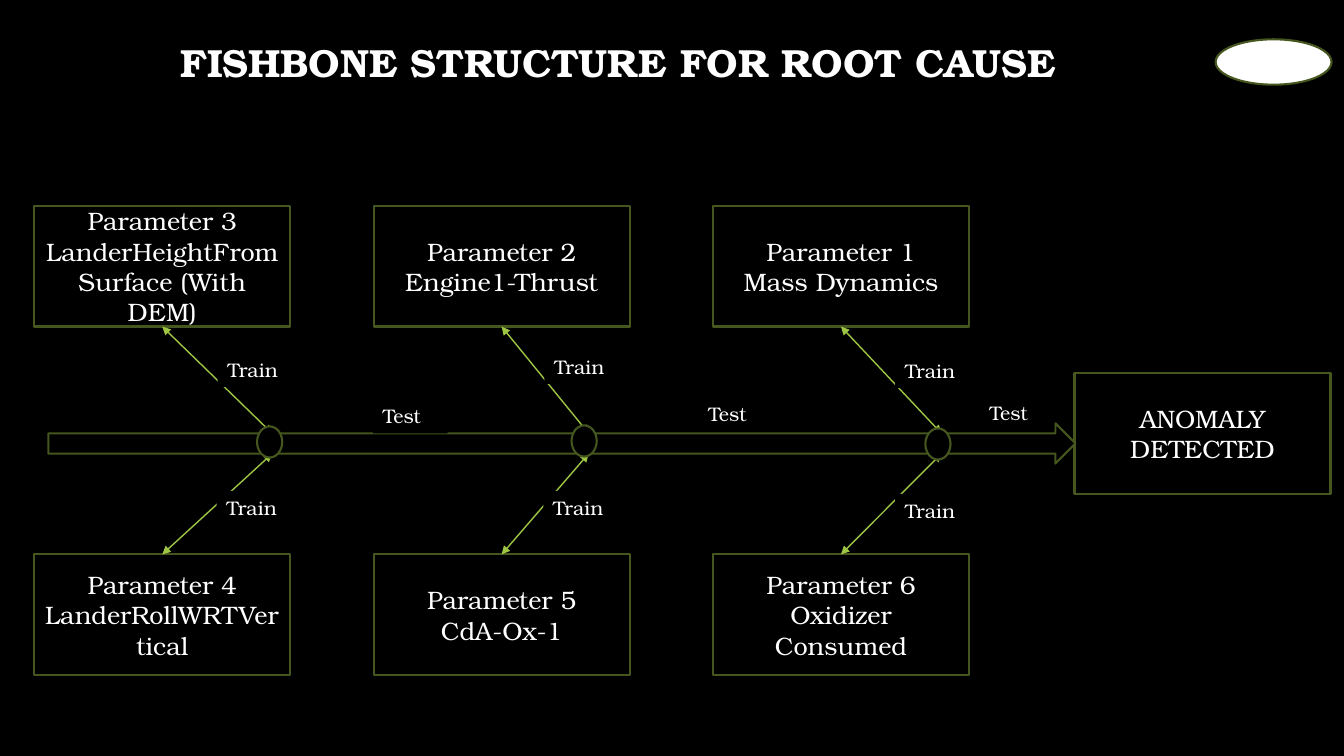
from lxml.etree import SubElement
from pptx import Presentation
from pptx.dml.color import RGBColor
from pptx.enum.shapes import MSO_CONNECTOR, MSO_SHAPE as SHAPE
from pptx.enum.text import MSO_ANCHOR as ANCHOR, MSO_AUTO_SIZE as FIT, PP_ALIGN as ALIGN
from pptx.oxml.ns import qn
from pptx.util import Inches, Pt

COLORS = {"black": "000000", "white": "FFFFFF", "outline": "45561E", "bone": "9EC544"}
FONT = "TeX Gyre Bonum"
COLUMNS, ROWS = 40, 22.5
BOX_W, BOX_H = 7.62, 3.6
LABEL_W, LABEL_H = 2.22, 1.02
JOINT_W, JOINT_H = 0.75, 0.93
FIRST_BOX, BOX_PITCH = 1.02, 10.1
UPPER_TOP, LOWER_TOP = 6.12, 16.5
UPPER_END, LOWER_END = 12.9, 13.5
TOP, BOTTOM = 0, 2  # connection sites of a rectangle

# One entry per joint of the spine, from left to right
BONES = [
    {"upper": ["Parameter 3", "LanderHeightFromSurface (With DEM)"],
     "lower": ["Parameter 4", "LanderRollWRTVertical"],
     "end": 8.1, "joint": (7.65, 12.69),
     "train": [(6.48, 10.5), (6.45, 14.61)], "test": (11.1, 11.88)},
    {"upper": ["Parameter 2", "Engine1-Thrust"],
     "lower": ["Parameter 5", "CdA-Ox-1"],
     "end": 17.52, "joint": (17.01, 12.66),
     "train": [(16.2, 10.41), (16.17, 14.61)], "test": (20.79, 11.82)},
    {"upper": ["Parameter 1", "Mass Dynamics"],
     "lower": ["Parameter 6", "Oxidizer Consumed"],
     "end": 28.02, "joint": (27.54, 12.75),
     "train": [(26.64, 10.53), (26.64, 14.7)], "test": (29.16, 11.79)},
]


def color(name):
    return RGBColor.from_string(COLORS[name])


class Fishbone:
    """Draws on one slide; lengths are columns and rows of its grid."""

    def __init__(self, deck):
        self.cell_w = deck.slide_width / COLUMNS
        self.cell_h = deck.slide_height / ROWS
        self.slide = deck.slides.add_slide(deck.slide_layouts[5])
        self.slide.background.fill.solid()
        self.slide.background.fill.fore_color.rgb = color("black")

    def place(self, *lengths):
        """Turn alternating columns and rows into slide units."""
        return [round(length * (self.cell_h if i % 2 else self.cell_w))
                for i, length in enumerate(lengths)]

    def set_text(self, frame, lines, size, align, anchor, bold=False):
        frame.word_wrap = True
        frame.vertical_anchor = anchor
        frame.text = "\n".join(lines)
        for paragraph in frame.paragraphs:
            paragraph.alignment = align
            font = paragraph.font
            font.name, font.size, font.bold = FONT, Pt(size), bold
            font.color.rgb = color("white")

    def title(self, words, *at):
        heading = self.slide.shapes.title
        heading.left, heading.top, heading.width, heading.height = self.place(*at)
        frame = heading.text_frame
        frame.auto_size = FIT.NONE
        self.set_text(frame, [words], 28, ALIGN.CENTER, ANCHOR.MIDDLE, bold=True)
        frame.paragraphs[0].line_spacing = 0.9

    def shape(self, kind, *at, fill="black", outlined=True):
        figure = self.slide.shapes.add_shape(kind, *self.place(*at))
        figure.shadow.inherit = False
        figure.fill.solid()
        figure.fill.fore_color.rgb = color(fill)
        if outlined:
            figure.line.color.rgb = color("outline")
            figure.line.width = Pt(1.5)
        else:
            figure.line.fill.background()
        return figure

    def box(self, left, top, lines):
        box = self.shape(SHAPE.RECTANGLE, left, top, BOX_W, BOX_H)
        self.set_text(box.text_frame, lines, 18, ALIGN.CENTER, ANCHOR.MIDDLE)
        return box

    def label(self, left, top, word):
        label = self.shape(SHAPE.RECTANGLE, left, top, LABEL_W, LABEL_H, outlined=False)
        self.set_text(label.text_frame, [word], 14, ALIGN.LEFT, ANCHOR.TOP)
        label.text_frame.auto_size = FIT.SHAPE_TO_FIT_TEXT

    def bone(self, box, site, *end):
        """Join a box to the spine with a two-headed arrow."""
        bone = self.slide.shapes.add_connector(
            MSO_CONNECTOR.STRAIGHT, box.left, box.top, *self.place(*end))
        bone.begin_connect(box, site)
        bone.line.color.rgb = color("bone")
        bone.line.width = Pt(1)
        properties = bone._element.spPr
        outline = properties.find(qn("a:ln"))
        for tag in ("a:headEnd", "a:tailEnd"):
            SubElement(outline, qn(tag), type="triangle")
        SubElement(properties, qn("a:effectLst"))


def main():
    deck = Presentation()
    deck.slide_width, deck.slide_height = Inches(13.33), Inches(7.5)
    fish = Fishbone(deck)

    fish.title("FISHBONE STRUCTURE FOR ROOT CAUSE", 1.14, -0.24, 34.5, 4.35)
    fish.box(31.98, 11.1, ["ANOMALY DETECTED"])
    fish.shape(SHAPE.RIGHT_ARROW, 1.44, 12.6, 30.57, 1.2)

    for i, rib in enumerate(BONES):
        left = FIRST_BOX + i * BOX_PITCH
        upper = fish.box(left, UPPER_TOP, rib["upper"])
        lower = fish.box(left, LOWER_TOP, rib["lower"])
        fish.bone(upper, BOTTOM, rib["end"], UPPER_END)
        fish.bone(lower, TOP, rib["end"], LOWER_END)
        for spot in rib["train"]:
            fish.label(*spot, "Train")
        fish.label(*rib["test"], "Test")
        fish.shape(SHAPE.FLOWCHART_CONNECTOR, *rib["joint"], JOINT_W, JOINT_H)

    fish.shape(SHAPE.FLOWCHART_CONNECTOR, 36.18, 1.17, 3.45, 1.35, fill="white")
    deck.save("out.pptx")


if __name__ == "__main__":
    main()
